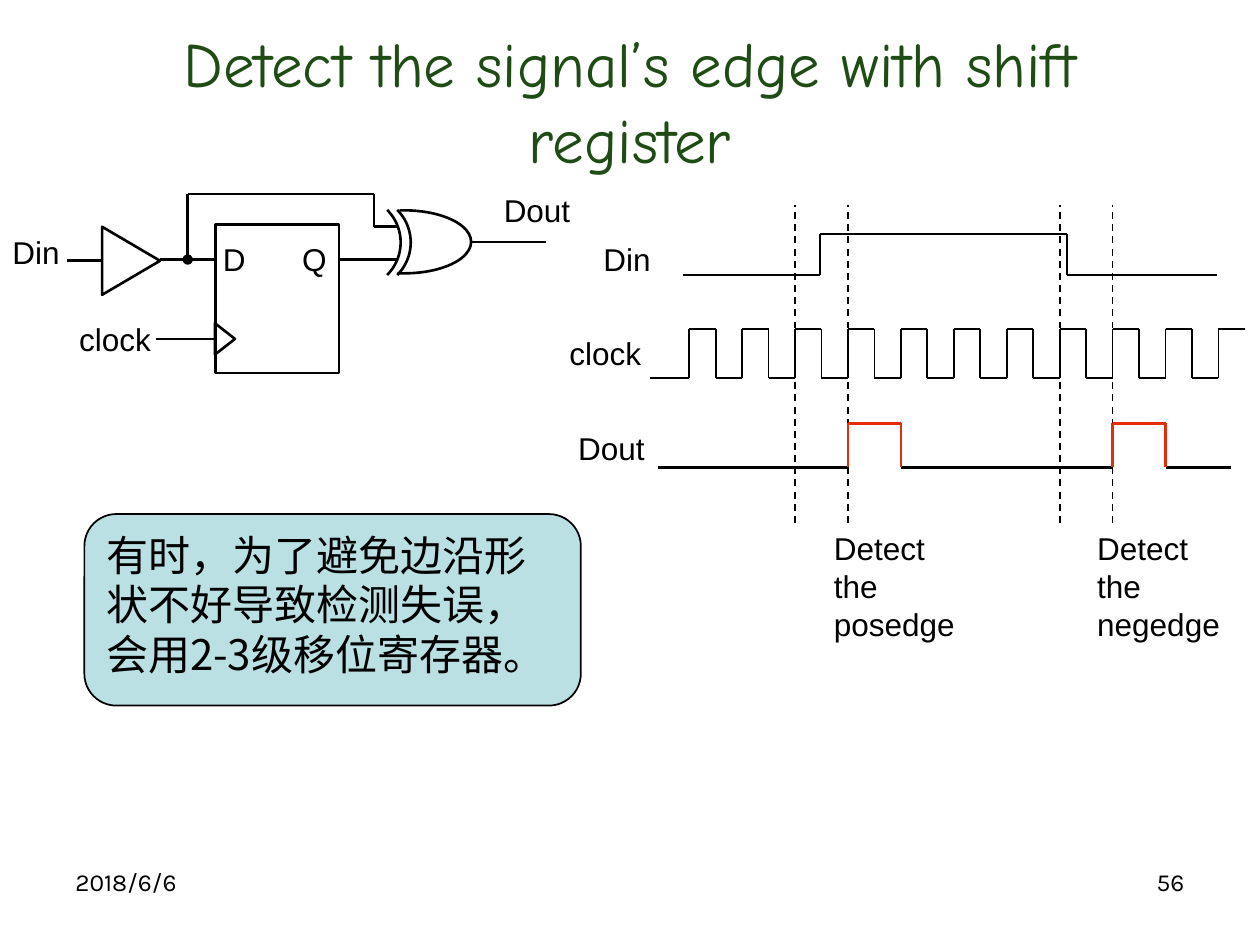
from lxml.etree import SubElement
from pptx import Presentation
from pptx.dml.color import RGBColor
from pptx.enum.dml import MSO_LINE
from pptx.enum.shapes import MSO_CONNECTOR, MSO_SHAPE
from pptx.enum.text import MSO_ANCHOR, MSO_AUTO_SIZE, PP_ALIGN
from pptx.oxml.ns import qn
from pptx.util import Inches, Pt

BLACK = RGBColor(0x00, 0x00, 0x00)
GREEN = RGBColor(0x1F, 0x4B, 0x15)
RED = RGBColor(0xE5, 0x2E, 0x09)
PALE_BLUE = RGBColor(0xBB, 0xE0, 0xE3)

deck = Presentation()
deck.slide_width, deck.slide_height = Inches(10), Inches(7.5)
slide = deck.slides.add_slide(deck.slide_layouts[5])
shapes = slide.shapes


def write(frame, text, font_name, size, color=BLACK, align=PP_ALIGN.LEFT):
    frame.word_wrap = True
    paragraph = frame.paragraphs[0]
    paragraph.alignment = align
    run = paragraph.add_run()
    run.text = text
    for key, value in {"name": font_name, "size": Pt(size), "bold": False}.items():
        setattr(run.font, key, value)
    run.font.color.rgb = color
    SubElement(run.font._element, qn("a:ea"), typeface=font_name)
    return paragraph


def trace(points, color=BLACK, width=1.5, dash=None):
    for start, end in zip(points, points[1:]):
        wire = shapes.add_connector(MSO_CONNECTOR.STRAIGHT, *map(Inches, start + end))
        wire.line.color.rgb = color
        wire.line.width = Pt(width)
        wire.line.dash_style = dash
        SubElement(wire._element.spPr, qn("a:effectLst"))
    return wire


title = shapes.title
frame_format = {"left": 0.5, "top": 0.3, "width": 9, "height": 0.99}
for key, value in frame_format.items():
    setattr(title, key, Inches(value))
title.text_frame.auto_size = MSO_AUTO_SIZE.NONE
title.text_frame.vertical_anchor = MSO_ANCHOR.MIDDLE
write(title.text_frame, "Detect the signal’s edge with shift register",
      "Comic Neue", 36, GREEN, PP_ALIGN.CENTER)

for text, left, align in [("2018/6/6", 0.5, PP_ALIGN.LEFT), ("56", 7.17, PP_ALIGN.RIGHT)]:
    footer = shapes.add_textbox(*map(Inches, (left, 6.83, 2.33, 0.52)))
    write(footer.text_frame, text, "Karla", 14, align=align)

HALF_CYCLE = 0.21
edges = [5.47 + HALF_CYCLE * n for n in range(22)]
DIN_HIGH, DIN_LOW = 1.86, 2.18
CLOCK_HIGH, CLOCK_LOW = 2.61, 3
DOUT_HIGH, DOUT_LOW = 3.36, 3.71

trace([(5.42, DIN_LOW), (6.51, DIN_LOW), (6.51, DIN_HIGH),
       (8.47, DIN_HIGH), (8.47, DIN_LOW), (9.66, DIN_LOW)], width=1)

clock_points = [(5.16, CLOCK_LOW)]
for n, (edge, next_edge) in enumerate(zip(edges, edges[1:])):
    before, after = (CLOCK_HIGH, CLOCK_LOW) if n % 2 else (CLOCK_LOW, CLOCK_HIGH)
    clock_points += [(edge, before), (edge, after)]
clock_points.append((edges[-1], CLOCK_HIGH))
trace(clock_points, width=1)

for n in (4, 6, 14, 16):
    trace([(edges[n], 4.15), (edges[n], 1.63)], width=1, dash=MSO_LINE.DASH)

for start, end in [(5.22, edges[6]), (edges[8], edges[16]), (edges[18], 9.77)]:
    trace([(start, DOUT_LOW), (end, DOUT_LOW)])
for n in (6, 16):
    rise, fall = edges[n], edges[n + 2]
    trace([(rise, DOUT_LOW), (rise, DOUT_HIGH), (fall, DOUT_HIGH), (fall, DOUT_LOW)], RED)

outlines = [
    (MSO_SHAPE.RECTANGLE, (1.71, 1.78, 0.98, 1.18), 0, []),
    (MSO_SHAPE.ISOSCELES_TRIANGLE, (1.66, 2.61, 0.25, 0.16), 90, []),
    (MSO_SHAPE.ISOSCELES_TRIANGLE, (0.77, 1.84, 0.54, 0.46), 90, []),
    (MSO_SHAPE.ARC, (2.45, 1.56, 0.73, 0.73), 45, []),
    (MSO_SHAPE.ARC, (2.53, 1.56, 0.73, 0.73), 45, []),
    (MSO_SHAPE.ARC, (2.68, 1.67, 1.06, 0.5), 0, [156.86, 61.45]),
]
for kind, box, rotation, angles in outlines:
    symbol = shapes.add_shape(kind, *map(Inches, box))
    symbol.rotation = rotation
    symbol.shadow.inherit = False
    symbol.fill.background()
    symbol.line.color.rgb = BLACK
    symbol.line.width = Pt(1.5)
    for n, angle in enumerate(angles):
        symbol.adjustments[n] = angle

DATA_ROW, BYPASS_ROW = 2.06, 1.54
for wire_points in [
    [(0.81, 2.07), (0.53, 2.07)],
    [(1.71, DATA_ROW), (1.27, DATA_ROW)],
    [(2.69, DATA_ROW), (3.16, DATA_ROW)],
    [(1.71, 2.69), (1.24, 2.69)],
    [(1.49, BYPASS_ROW), (2.97, BYPASS_ROW), (2.97, 1.8), (3.16, 1.8)],
    [(3.74, 1.92), (4.33, 1.92)],
]:
    trace(wire_points)
tap = trace([(1.49, DATA_ROW), (1.49, BYPASS_ROW)])
SubElement(tap.line._get_or_add_ln(), qn("a:headEnd"), type="oval")

for text, left, top, width, height in [
    ("Din", 4.69, 1.86, 0.79, 0.4),
    ("clock", 4.42, 2.6, 0.91, 0.4),
    ("Dout", 4.49, 3.36, 0.94, 0.4),
    ("Detect the posedge", 6.52, 4.15, 1.26, 1.01),
    ("Detect the negedge", 8.61, 4.15, 1.26, 1.01),
    ("Din", 0, 1.8, 0.79, 0.4),
    ("D", 1.67, 1.86, 0.49, 0.4),
    ("Q", 2.3, 1.86, 0.28, 0.4),
    ("clock", 0.53, 2.49, 0.87, 0.4),
    ("Dout", 3.9, 1.47, 0.94, 0.4),
]:
    label = shapes.add_textbox(*map(Inches, (left, top, width, height)))
    write(label.text_frame, text, "Arial", 18)

note = shapes.add_shape(MSO_SHAPE.ROUNDED_RECTANGLE, *map(Inches, (0.67, 4.08, 3.94, 1.52)))
note.shadow.inherit = False
note.fill.solid()
note.fill.fore_color.rgb = PALE_BLUE
note.line.color.rgb = BLACK
note.line.width = Pt(1)
note.text_frame.vertical_anchor = MSO_ANCHOR.TOP
advice = write(note.text_frame, "有时，为了避免边沿形状不好导致检测失误，会用2-3级移位寄存器。",
               "Noto Sans CJK SC", 24)
advice.line_spacing = Pt(28.5)

deck.save("out.pptx")
